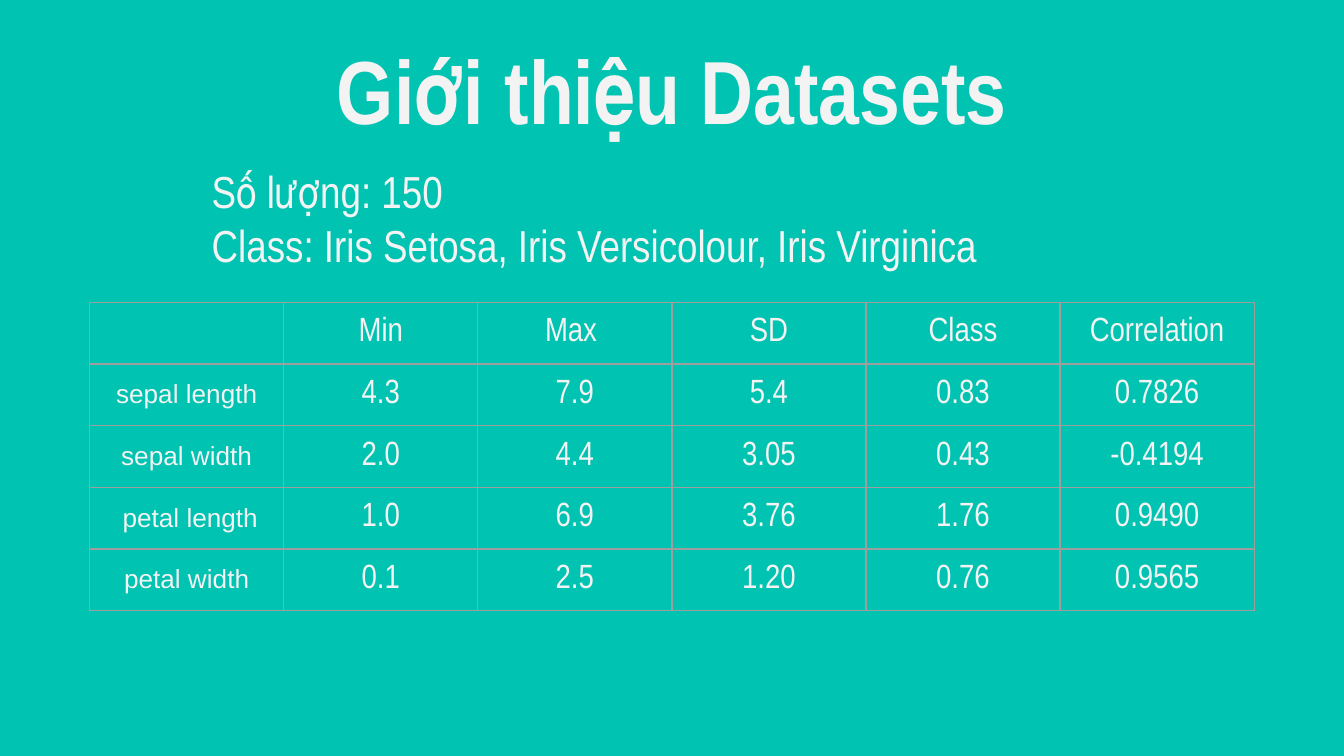
from dataclasses import dataclass

from lxml.etree import SubElement
from pptx import Presentation
from pptx.dml.color import RGBColor
from pptx.enum.text import MSO_ANCHOR, MSO_AUTO_SIZE, PP_ALIGN
from pptx.oxml.ns import qn
from pptx.util import Inches, Pt


@dataclass(frozen=True)
class Theme:
    """Colours, fonts and type sizes of the slide."""

    background: str = "00C3B1"
    text: str = "F3F3F3"
    border: str = "9E9E9E"
    main_font: str = "Arial Narrow"
    label_font: str = "Arial"
    title_size: int = 48
    body_size: int = 24
    value_size: int = 18
    label_size: int = 14
    border_width: float = 0.75


THEME = Theme()
WIDTH, HEIGHT = Inches(10), Inches(10 * 9 / 16)
TITLE = "Giới thiệu Datasets"
FACTS = [
    "Số lượng: 150",
    "Class: Iris Setosa, Iris Versicolour, Iris Virginica",
]
STATISTICS = [
    ["", "Min", "Max ", "SD", "Class", "Correlation"],
    ["sepal length", "4.3", "7.9", "5.4", "0.83", "0.7826"],
    ["sepal width", "2.0", "4.4", "3.05", "0.43", "-0.4194"],
    [" petal length", "1.0", "6.9", "3.76", "1.76", "0.9490"],
    ["petal width", "0.1", "2.5", "1.20", "0.76", "0.9565"],
]


def area(left, top, width, height):
    """Turn percentages of the slide into lengths."""
    shares = zip((left, top, width, height), (WIDTH, HEIGHT, WIDTH, HEIGHT))
    return [int(share * side / 100) for share, side in shares]


def style(paragraph, size, font=THEME.main_font, bold=False, align=PP_ALIGN.LEFT):
    """Format one paragraph."""
    paragraph.alignment = align
    paragraph.space_before = Pt(0)
    paragraph.font.name = font
    paragraph.font.size = Pt(size)
    paragraph.font.bold = bold
    paragraph.font.color.rgb = RGBColor.from_string(THEME.text)


def fill_placeholder(placeholder, bounds, text):
    """Place a placeholder, write its text and return its paragraphs."""
    placeholder.left, placeholder.top, placeholder.width, placeholder.height = bounds
    frame = placeholder.text_frame
    frame.text = text
    frame.word_wrap = True
    frame.auto_size = MSO_AUTO_SIZE.NONE
    frame.vertical_anchor = MSO_ANCHOR.TOP
    return frame.paragraphs


def add_title(slide):
    """Write the centred heading."""
    title = slide.shapes.title
    paragraphs = fill_placeholder(title, area(7.85, 2.85, 84.3, 11.2), TITLE)
    frame = title.text_frame
    frame.margin_top = frame.margin_bottom = Inches(0.1)
    style(paragraphs[0], THEME.title_size, bold=True, align=PP_ALIGN.CENTER)


def add_facts(slide):
    """Write the plain lines below the heading."""
    bounds = area(14.75, 20.8, 70.5, 16.2)
    for fact in fill_placeholder(slide.placeholders[1], bounds, "\n".join(FACTS)):
        properties = fact._p.get_or_add_pPr()
        properties.set("marL", "0")
        properties.set("indent", "0")
        SubElement(properties, qn("a:buNone"))
        style(fact, THEME.body_size)


def draw_borders(cell):
    """Draw a thin line on all four sides of a cell."""
    properties = cell._tc.get_or_add_tcPr()
    for side in ("lnL", "lnR", "lnT", "lnB"):
        line = SubElement(properties, qn(f"a:{side}"), w=str(Pt(THEME.border_width)))
        SubElement(SubElement(line, qn("a:solidFill")), qn("a:srgbClr"), val=THEME.border)


def add_statistics(slide):
    """Build the table of statistics with equal rows and columns."""
    rows, columns = len(STATISTICS), len(STATISTICS[0])
    bounds = area(6.67, 40, 86.65, 40.8)
    table = slide.shapes.add_table(rows, columns, *bounds).table
    table.first_row = table.horz_banding = False
    for row, values in enumerate(STATISTICS):
        for column, value in enumerate(values):
            cell = table.cell(row, column)
            cell.text = value
            cell.vertical_anchor = MSO_ANCHOR.MIDDLE
            draw_borders(cell)
            cell.fill.background()
            size, font = (
                (THEME.value_size, THEME.main_font)
                if column
                else (THEME.label_size, THEME.label_font)
            )
            style(cell.text_frame.paragraphs[0], size, font, align=PP_ALIGN.CENTER)


def main():
    """Build and save the slide."""
    presentation = Presentation()
    presentation.slide_width, presentation.slide_height = WIDTH, HEIGHT
    slide = presentation.slides.add_slide(presentation.slide_layouts[1])
    slide.background.fill.solid()
    slide.background.fill.fore_color.rgb = RGBColor.from_string(THEME.background)
    add_title(slide)
    add_facts(slide)
    add_statistics(slide)
    presentation.save("out.pptx")


if __name__ == "__main__":
    main()
